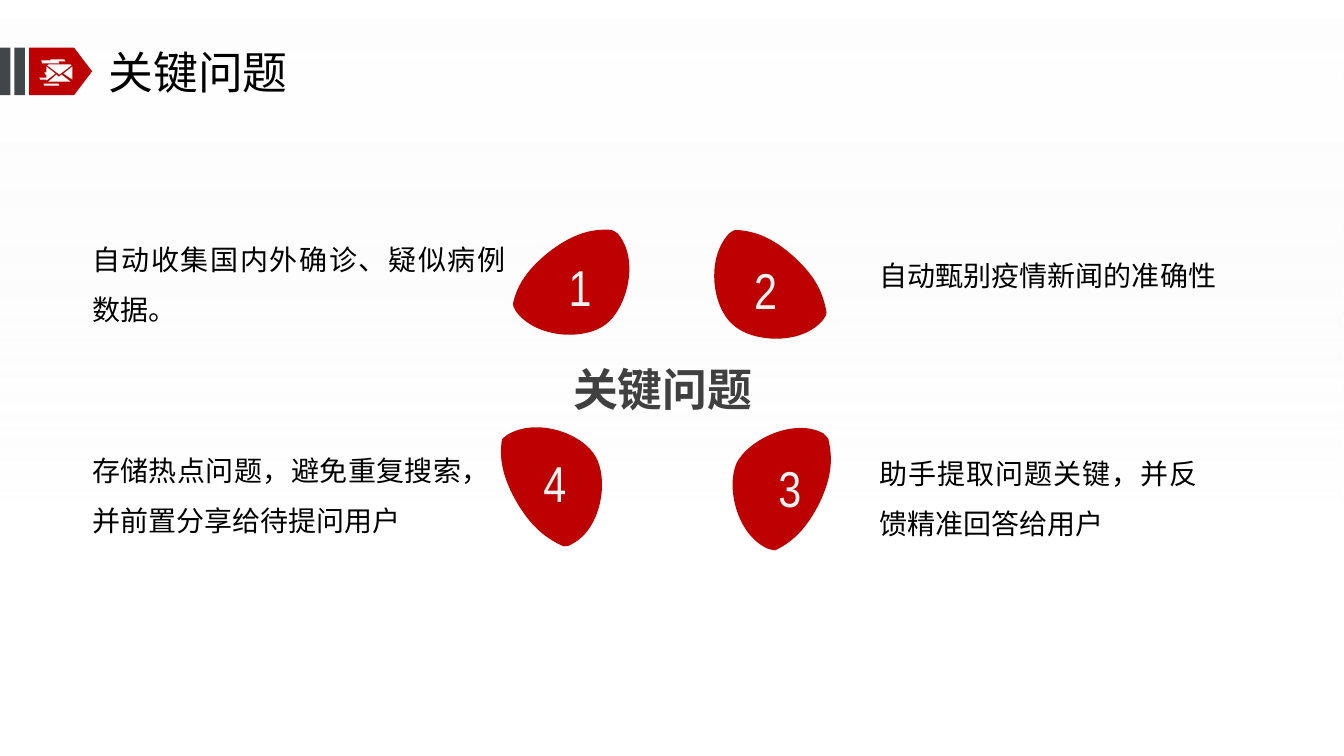
from lxml import etree
from pptx import Presentation
from pptx import util as u
from pptx.dml.color import RGBColor
from pptx.enum import shapes, text
from pptx.oxml.ns import qn

COLORS = {"red": "BD0000", "slate": "40464A", "white": "FFFFFF", "pale": "F2F2F2",
          "black": "000000", "grey": "404040"}
CJK, NARROW = "Noto Sans CJK SC", "Arial Narrow"
RECT = shapes.MSO_SHAPE.RECTANGLE
LEFT, CENTER, JUSTIFY = text.PP_ALIGN.LEFT, text.PP_ALIGN.CENTER, text.PP_ALIGN.JUSTIFY
TOP, MIDDLE = text.MSO_ANCHOR.TOP, text.MSO_ANCHOR.MIDDLE

# Petals: number, centre x and top of the number, then the start point
# followed by three Bezier points (two controls and an end) per row
PETALS = [
    ("1", 414.4, 182.9, [
        (436.3, 164.2),
        (423.4, 163.4), (410.4, 166.3), (393.1, 179.3),
        (376.6, 192.2), (369.4, 203.8), (366.5, 216.7),
        (366.5, 218.2), (367.2, 221), (368.6, 222.5),
        (383, 241.9), (417.6, 243.4), (432.7, 231.8),
        (447.8, 220.3), (457.2, 185.8), (441.4, 167),
        (439.9, 165.6), (437, 164.2), (436.3, 164.2)]),
    ("2", 546.8, 185, [
        (590.4, 223.2),
        (588.2, 210.2), (583.2, 198), (567.4, 183.6),
        (551.5, 169.2), (538.6, 164.9), (525.6, 164.2),
        (524.2, 164.2), (521.3, 166.3), (520.6, 167),
        (504, 185), (509, 219.6), (523.4, 231.8),
        (537.1, 244.8), (573.1, 247), (588.2, 228.2),
        (589.7, 226.8), (590.4, 223.9), (590.4, 223.2)]),
    ("3", 564.1, 326.2, [
        (591.8, 313.9),
        (594.7, 326.9), (594.7, 339.8), (585.4, 359.3),
        (576, 378), (565.9, 387.4), (553.7, 393.1),
        (553, 393.1), (549.4, 392.4), (547.9, 391.7),
        (526.3, 381.6), (518.4, 347.8), (526.3, 330.5),
        (535, 313.9), (567.4, 298.1), (588.2, 309.6),
        (589.7, 311), (591.8, 313.2), (591.8, 313.9)]),
    ("4", 396.4, 322.8, [
        (402.5, 390.2),
        (391, 385.2), (380.2, 377.3), (369.4, 359.3),
        (358.6, 340.6), (356.4, 326.9), (358.6, 313.9),
        (359.3, 313.2), (361.4, 311), (362.9, 310.3),
        (383.8, 298.1), (416.2, 309.6), (425.5, 326.2),
        (434.9, 342.7), (429.8, 378), (408.2, 388.8),
        (406.8, 390.2), (403.9, 390.2), (402.5, 390.2)]),
]

# Envelope icon: flap, left side, lower bar, upper bars, right side, body
ENVELOPE = [
    [(34.6, 46.1), (50.4, 46.1), (51.1, 46.8), (42.5, 53.3), (33.8, 46.8)],
    [(31.7, 51.8), (32.4, 53.3), (33.1, 53.3), (33.1, 55.4), (28.1, 55.4), (28.8, 56.9),
     (33.1, 56.9), (33.1, 57.6), (39.6, 52.6), (33.1, 47.5), (33.1, 51.8)],
    [(31, 59.8), (41.8, 59.8), (42.5, 61.2), (31.7, 61.2)],
    [(36, 42.5), (46.1, 42.5), (46.8, 43.9), (41.8, 43.9), (42.5, 45.4), (30.2, 45.4),
     (29.5, 43.2), (36, 43.2)],
    [(51.8, 47.5), (45.4, 52.6), (51.8, 56.9)],
    [(50.4, 58.3), (34.6, 58.3), (40.3, 53.3), (41.8, 54.7), (42.5, 54.7), (43.9, 53.3)],
]

# Answers: left, top, width, height, line spacing, wording
ANSWERS = [
    (65.8, 161, 295.2, 72.7, 1.5, "自动收集国内外确诊、疑似病例数据。"),
    (628.3, 184.3, 244.8, 24.5, 1, "自动甄别疫情新闻的准确性"),
    (628.3, 313.9, 226.8, 72.7, 1.5, "助手提取问题关键，并反馈精准回答给用户"),
    (65.8, 311.8, 264.2, 72.7, 1.5, "存储热点问题，避免重复搜索，并前置分享给待提问用户"),
]


def rgb(name):
    return RGBColor.from_string(COLORS[name])


def paint(sp, color):
    sp.shadow.inherit = False
    sp.fill.solid()
    sp.fill.fore_color.rgb = rgb(color)
    sp.line.fill.background()


def add_block(s, kind, x, y, w, h, color):
    sp = s.shapes.add_shape(kind, u.Pt(x), u.Pt(y), u.Pt(w), u.Pt(h))
    paint(sp, color)
    return sp


def add_backdrop(s, w, h):
    sp = add_block(s, RECT, 0, 0, w, h, "white")
    sp.fill.gradient()
    sp.fill.gradient_angle = 270
    stops = [("white", 0, 55), ("pale", 0.71, 0)]
    for stop, (color, position, _) in zip(sp.fill.gradient_stops, stops):
        stop.color.rgb = rgb(color)
        stop.position = position
    for clr, (_, _, opacity) in zip(sp._element.spPr.iter(qn("a:srgbClr")), stops):
        etree.SubElement(clr, qn("a:alpha")).set("val", str(opacity * 1000))


def add_outline(s, contours, color):
    """Draw closed contours, in hundredths of a point, as one freeform."""
    grid = [[(x * 100, y * 100) for x, y in contour] for contour in contours]
    builder = s.shapes.build_freeform(*grid[0][0], scale=u.Pt(1) / 100)
    for i, contour in enumerate(grid):
        if i:
            builder.move_to(*contour[0])
        builder.add_line_segments(contour[1:], close=True)
    sp = builder.convert_to_shape()
    paint(sp, color)
    return sp


def bend(sp):
    """Turn every three line segments into one Bezier curve."""
    lines = list(sp._element.spPr.iter(qn("a:lnTo")))
    for a, b, end in zip(*[iter(lines)] * 3):
        curve = etree.Element(qn("a:cubicBezTo"))
        a.addprevious(curve)
        for line in (a, b, end):
            curve.append(line[0])
            line.getparent().remove(line)


def add_text(s, x, y, w, h, words, size, color, font=CJK, align=LEFT, anchor=MIDDLE,
             bold=False, spacing=1, wrap=True):
    tf = s.shapes.add_textbox(u.Pt(x), u.Pt(y), u.Pt(w), u.Pt(h)).text_frame
    tf.margin_left = tf.margin_top = tf.margin_right = tf.margin_bottom = 0
    tf.word_wrap = wrap
    tf.vertical_anchor = anchor
    p = tf.paragraphs[0]
    p.alignment = align
    p.line_spacing = spacing
    r = p.add_run()
    r.text = words
    r.font.size = u.Pt(size)
    r.font.bold = bold
    r.font.name = font
    r.font.color.rgb = rgb(color)
    etree.SubElement(r._r.get_or_add_rPr(), qn("a:ea")).set("typeface", font)
    return r


def add_petal(s, number, x, y, points):
    group = s.shapes.add_group_shape()
    bend(add_outline(group, [points], "red"))
    r = add_text(group, x - 9, y, 18, 44, number, 36, "pale", NARROW, CENTER, wrap=False)
    r._r.get_or_add_rPr().set("spc", "400")


def main():
    prs = Presentation()
    prs.slide_width, prs.slide_height = u.Pt(960), u.Pt(540)
    s = prs.slides.add_slide(prs.slide_layouts[6])
    add_backdrop(s, 960, 540)

    # Header
    tag = add_block(s, shapes.MSO_SHAPE.PENTAGON, 20.8, 34, 45, 34, "red")
    tag.adjustments[0] = 0.38
    for x in (10.2, 0):
        add_block(s, RECT, x, 34, 7.5, 34, "slate")
    add_text(s, 77.5, 31.2, 396.7, 39.6, "关键问题", 32, "black")

    # Ring of petals
    add_text(s, 406.1, 258, 134.6, 38.9, "关键问题", 32, "grey", align=CENTER, bold=True)
    for petal in PETALS:
        add_petal(s, *petal)

    # Answers
    for x, y, w, h, spacing, words in ANSWERS:
        add_text(s, x, y, w, h, words, 20, "black", align=JUSTIFY, anchor=TOP, spacing=spacing)

    # Envelope on the header tag
    add_outline(s, ENVELOPE, "white")

    prs.save("out.pptx")


if __name__ == "__main__":
    main()
